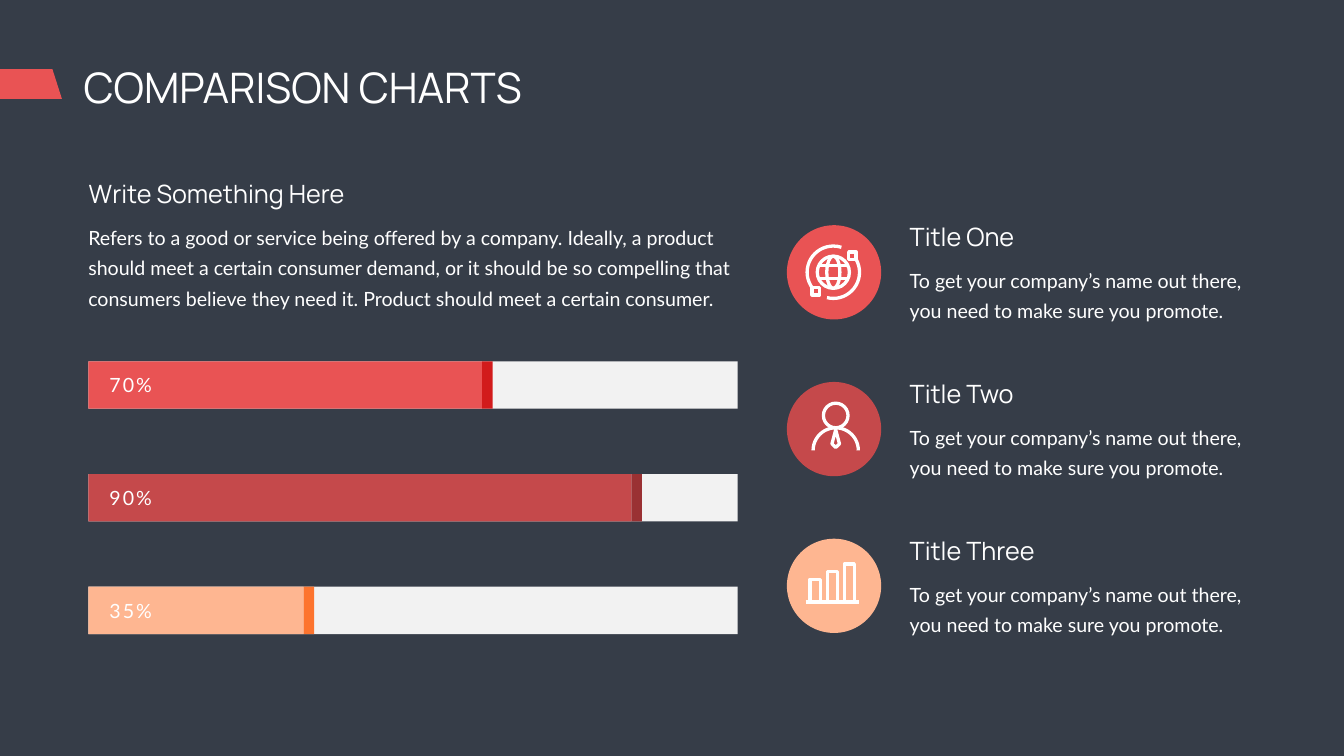
from lxml import etree
from pptx import Presentation
from pptx import util as u
from pptx.dml.color import RGBColor
from pptx.enum import shapes, text
from pptx.oxml import ns

NAVY = RGBColor(0x36, 0x3D, 0x48)
WHITE = RGBColor(0xFF, 0xFF, 0xFF)
TRACK = RGBColor(0xF2, 0xF2, 0xF2)
CORAL = RGBColor(0xE9, 0x53, 0x54)
RED = RGBColor(0xD2, 0x1B, 0x1C)
BRICK = RGBColor(0xC5, 0x49, 0x4B)
MAROON = RGBColor(0x9A, 0x31, 0x33)
PEACH = RGBColor(0xFE, 0xB6, 0x91)
ORANGE = RGBColor(0xFD, 0x74, 0x2E)
HEADING_FONT, BODY_FONT = "Manrope", "Lato"
Preset = shapes.MSO_SHAPE


class SlideBuilder:
    """Draws styled elements on one slide; every length is in centimetres."""

    def __init__(self, slide):
        self.slide = slide
        self.stroke = u.Pt(4.7)
        fill = slide.background.fill
        fill.solid()
        fill.fore_color.rgb = NAVY

    def set_text(self, box, words, size, font, leading=None):
        frame = box.text_frame
        frame.word_wrap = True
        frame.auto_size = text.MSO_AUTO_SIZE.NONE
        frame.vertical_anchor = text.MSO_ANCHOR.TOP
        frame.text = words
        para = frame.paragraphs[0]
        para.alignment = text.PP_ALIGN.LEFT
        if leading:
            para.line_spacing = u.Pt(leading)
        para.font.size = u.Pt(size)
        para.font.name = font
        para.font.color.rgb = WHITE
        return frame

    def title(self, words, x, y, width, height):
        box = self.slide.shapes.title
        box.left, box.top, box.width, box.height = map(u.Cm, (x, y, width, height))
        self.set_text(box, words, 60, HEADING_FONT)

    def text_box(self, x, y, width, height):
        return self.slide.shapes.add_textbox(*map(u.Cm, (x, y, width, height)))

    def heading(self, words, x, y, width):
        self.set_text(self.text_box(x, y, width, 1.8), words, 36, HEADING_FONT)

    def body(self, words, x, y, width, height):
        box = self.text_box(x, y, width, height)
        return self.set_text(box, words, 28, BODY_FONT, leading=43)

    def bar_label(self, words, x, y):
        frame = self.set_text(self.text_box(x, y, 2.8, 1.45), words, 28, BODY_FONT)
        frame.word_wrap = False
        span = frame.paragraphs[0].runs[0]
        span._r.get_or_add_rPr().set("spc", "300")

    def paint(self, shape, color):
        """Fill without outline, or a white outline when color is None."""
        shape.shadow.inherit = False
        if color is None:
            shape.fill.background()
            shape.line.color.rgb = WHITE
            shape.line.width = self.stroke
        else:
            shape.fill.solid()
            shape.fill.fore_color.rgb = color
            shape.line.fill.background()
        return shape

    def shape(self, preset, x, y, width, height, color=None):
        lengths = map(u.Cm, (x, y, width, height))
        return self.paint(self.slide.shapes.add_shape(preset, *lengths), color)

    def arc(self, x, y, radius, start, end):
        """Clockwise arc around a centre, with angles in degrees."""
        curve = self.shape(Preset.ARC, x - radius, y - radius, 2 * radius, 2 * radius)
        for index, angle in enumerate((start, end)):
            curve.adjustments[index] = angle * 0.6

    def polygon(self, points, color=None):
        corners = [(u.Cm(x), u.Cm(y)) for x, y in points]
        builder = self.slide.shapes.build_freeform(*corners[0])
        builder.add_line_segments(corners[1:], close=True)
        self.paint(builder.convert_to_shape(), color)

    def line(self, x1, x2, y):
        connector = self.slide.shapes.add_connector(
            shapes.MSO_CONNECTOR.STRAIGHT, *map(u.Cm, (x1, y, x2, y)))
        connector.line.color.rgb = WHITE
        connector.line.width = self.stroke
        etree.SubElement(connector._element.spPr, ns.qn("a:effectLst"))


def globe_icon(page, x, y):
    center_x, center_y = x + 2.34, y + 2.37
    for width in (1.62, 0.66):
        page.shape(Preset.OVAL, center_x - width / 2, center_y - 0.81, width, 1.62)
    for offset in (-0.33, 0.33):
        page.line(center_x - 0.74, center_x + 0.74, center_y + offset)
    page.arc(center_x, center_y, 1.32, 331, 104)
    page.arc(center_x, center_y, 1.32, 145, 288)
    for left, top in ((3.11, 1.35), (1.27, 3.14)):
        page.shape(Preset.RECTANGLE, x + left, y + top, 0.38, 0.38)


def person_icon(page, x, y):
    page.shape(Preset.OVAL, x + 1.84, y + 1.07, 1.24, 1.24)
    page.arc(x + 2.46, y + 3.45, 1.14, 180, 0)
    tie = ((2.46, 2.41), (2.27, 3.12), (2.46, 3.3), (2.65, 3.12))
    page.polygon([(x + left, y + top) for left, top in tie])


def columns_icon(page, x, y):
    base = 3.19
    for index, top in enumerate((2.04, 1.66, 1.27)):
        page.shape(Preset.RECTANGLE, x + 1.17 + 0.86 * index, y + top, 0.51, base - top)
    page.line(x + 0.94, x + 3.61, y + base)


BARS = (
    ("70%", 19.84, CORAL, RED),
    ("90%", 27.36, BRICK, MAROON),
    ("35%", 10.85, PEACH, ORANGE),
)
ITEMS = (
    ("Title One", CORAL, globe_icon),
    ("Title Two", BRICK, person_icon),
    ("Title Three", PEACH, columns_icon),
)


def main():
    deck = Presentation()
    deck.slide_width, deck.slide_height = u.Cm(67.72), u.Cm(38.1)
    page = SlideBuilder(deck.slides.add_slide(deck.slide_layouts[5]))

    page.title("COMPARISON CHARTS", 3.96, 2.95, 27.97, 2.82)
    page.polygon(((0, 3.48), (2.64, 3.48), (3.12, 4.98), (0, 4.98)), CORAL)

    page.heading("Write Something Here", 4.22, 8.84, 27.71)
    intro = page.body(
        "Refers to a good or service being offered by a company. Ideally, a product "
        "should meet a certain consumer demand, or it should be so compelling that "
        "consumers believe they need it. Product should meet a certain consumer.",
        3.84, 10.77, 34.54, 5.03)
    intro.margin_left = intro.margin_right = u.Cm(0.61)
    intro.margin_top = intro.margin_bottom = u.Cm(0.3)

    left, height = 4.45, 2.39
    for row, (label, width, color, cap_color) in enumerate(BARS):
        top = 18.21 + 5.68 * row
        page.shape(Preset.RECTANGLE, left, top, 32.72, height, TRACK)
        page.shape(Preset.RECTANGLE, left, top, width, height, color)
        page.shape(Preset.RECTANGLE, left + width, top, 0.53, height, cap_color)
        page.bar_label(label, 5.26, top + 0.48)

    for row, (name, color, draw_icon) in enumerate(ITEMS):
        top = 11.05 + 7.9 * row
        page.heading(name, 45.59, top, 13.21)
        page.body("To get your company’s name out there, you need to make sure you promote.",
                  45.59, top + 2.06, 18.92, 3.18)
        page.shape(Preset.OVAL, 39.65, top + 0.3, 4.75, 4.75, color)
        draw_icon(page, 39.65, top + 0.3)

    deck.save("out.pptx")


if __name__ == "__main__":
    main()
